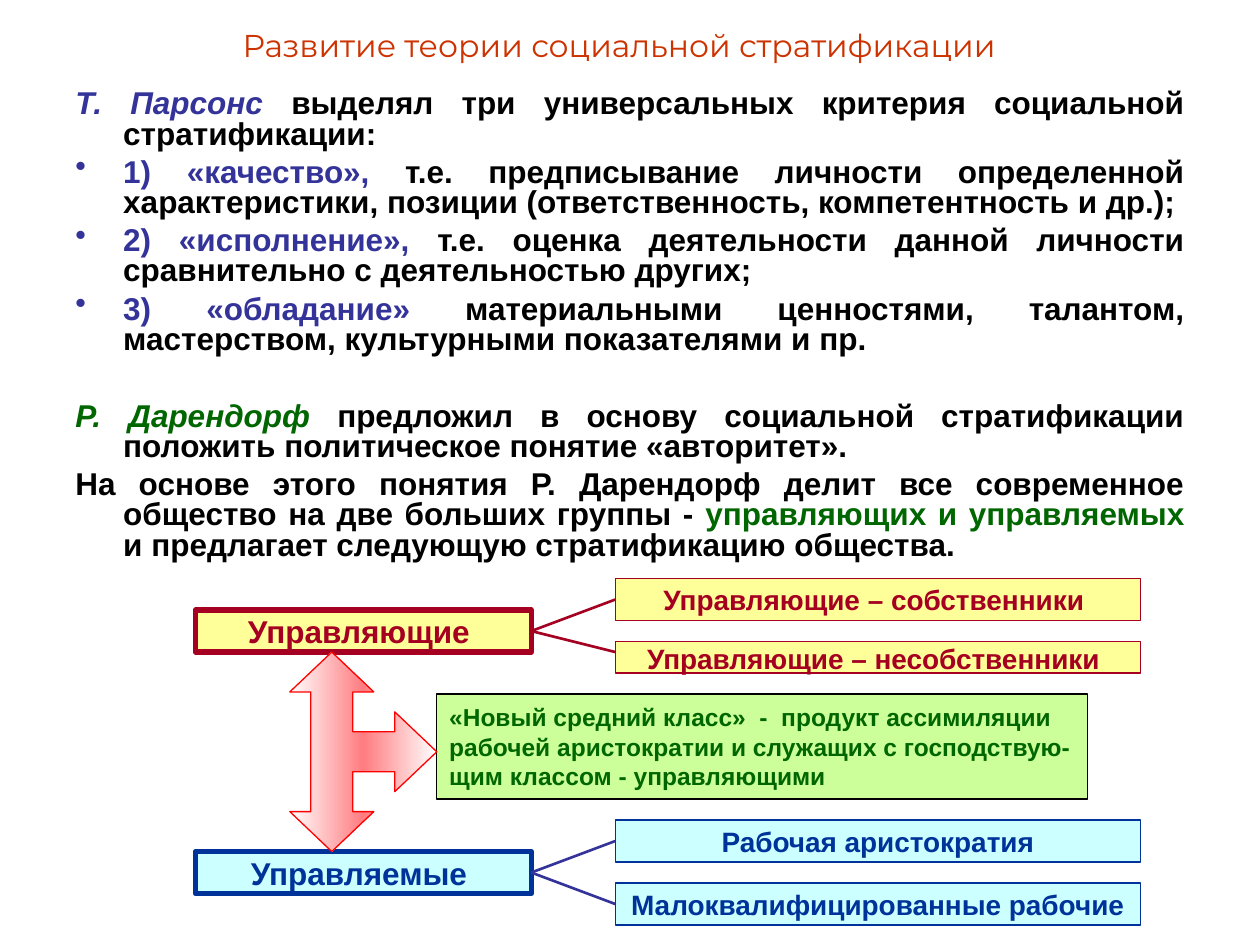
from copy import deepcopy
from dataclasses import dataclass

from lxml import etree
from pptx import Presentation
from pptx import util as u
from pptx.dml.color import RGBColor
from pptx.enum import shapes, text
from pptx.oxml.ns import qn

UNIT = u.Inches(1) // 12           # one column or row of the grid
DIAGRAM_COL, DIAGRAM_ROW = 18.6, 55.1


@dataclass(frozen=True)
class Theme:
    title: str = "CC3300"
    ink: str = "000000"
    violet: str = "333399"
    green: str = "006600"
    lime: str = "CCFF99"
    wine: str = "A50021"
    yellow: str = "FFFF99"
    navy: str = "003399"
    cyan: str = "CCFFFF"
    arrow_line: str = "FF0000"
    arrow_fill: tuple = ("FFFFFF", "FF7C80", "FFFFFF")
    heading_font: str = "Montserrat"
    font: str = "Arial"
    large: int = 18
    medium: int = 16
    small: int = 14


@dataclass(frozen=True)
class Span:
    words: str
    color: str
    size: int = 18
    bold: bool = True
    italic: bool = False
    font: str = "Arial"


@dataclass(frozen=True)
class Paragraph:
    spans: tuple
    bullet: bool = False
    before: float = 4.5


@dataclass(frozen=True)
class Box:
    col: float
    row: float
    cols: float
    rows: float
    fill: str
    line: str
    width: float
    lines: tuple
    align: text.PP_ALIGN = text.PP_ALIGN.CENTER


@dataclass(frozen=True)
class Branch:
    row: float
    end_rows: tuple
    color: str


T = Theme()


def rgb(value: str) -> RGBColor:
    return RGBColor.from_string(value)


def at(col: float, row: float) -> tuple:
    """Diagram grid position in slide units."""
    return round((DIAGRAM_COL + col) * UNIT), round((DIAGRAM_ROW + row) * UNIT)


def write(paragraph, spans: tuple, *, align=None, spacing=None, before=None,
          hanging=None, bullet=None) -> None:
    paragraph.alignment = align
    if spacing:
        paragraph.line_spacing = spacing
    if before:
        paragraph.space_before = u.Pt(before)
    props = paragraph._p.get_or_add_pPr()
    if hanging:
        props.set("marL", str(hanging))
        props.set("indent", str(-hanging))
    if bullet:
        color = etree.SubElement(props, qn("a:buClr"))
        etree.SubElement(color, qn("a:srgbClr"), val=bullet)
        etree.SubElement(props, qn("a:buChar"), char="•")
    for span in spans:
        run = paragraph.add_run()
        run.text = span.words
        font = run.font
        font.name, font.size = span.font, u.Pt(span.size)
        font.bold, font.italic = span.bold, span.italic
        font.color.rgb = rgb(span.color)


def paragraphs(frame, count: int) -> list:
    return [frame.paragraphs[0]] + [frame.add_paragraph() for _ in range(count - 1)]


def add_text_area(slide, left: float, top: float, width: float, height: float):
    frame = slide.shapes.add_textbox(*map(u.Inches, (left, top, width, height))).text_frame
    frame.word_wrap = True
    return frame


def add_box(slide, box: Box) -> None:
    shape = slide.shapes.add_shape(
        shapes.MSO_SHAPE.RECTANGLE, *at(box.col, box.row),
        round(box.cols * UNIT), round(box.rows * UNIT))
    shape.shadow.inherit = False
    shape.fill.solid()
    shape.fill.fore_color.rgb = rgb(box.fill)
    shape.line.color.rgb = rgb(box.line)
    shape.line.width = u.Pt(box.width)
    frame = shape.text_frame
    frame.word_wrap = False
    frame.vertical_anchor = text.MSO_ANCHOR.MIDDLE
    for paragraph, spans in zip(paragraphs(frame, len(box.lines)), box.lines):
        write(paragraph, spans, align=box.align)


def add_branch(slide, branch: Branch) -> None:
    for end_row in branch.end_rows:
        line = slide.shapes.add_connector(
            shapes.MSO_CONNECTOR.STRAIGHT, *at(32, branch.row), *at(40, end_row))
        line.line.color.rgb = rgb(branch.color)
        line.line.width = u.Pt(1.5)
        etree.SubElement(line._element.spPr, qn("a:effectLst"))


def add_three_way_arrow(slide) -> None:
    middle, step = 16.5, 1.9
    # Upper half as (column, steps above the middle); the lower half mirrors it
    upper = [(19, 2), (19, 1), (15, 1), (15, 3), (17, 3), (13, 5), (9, 3), (11, 3)]
    lower = [(col, -steps) for col, steps in reversed(upper)]
    points = [at(col, middle - steps * step) for col, steps in upper + lower]
    builder = slide.shapes.build_freeform(*at(23, middle))
    builder.add_line_segments(points, close=True)
    arrow = builder.convert_to_shape()
    arrow.shadow.inherit = False
    arrow.line.color.rgb = rgb(T.arrow_line)
    arrow.line.width = u.Pt(0.75)
    arrow.fill.gradient()
    arrow.fill.gradient_angle = 0
    stops = arrow._element.spPr.find(".//" + qn("a:gsLst"))
    stops.insert(1, deepcopy(stops[0]))
    for stop, color, place in zip(arrow.fill.gradient_stops, T.arrow_fill, (0, 0.5, 1)):
        stop.color.rgb = rgb(color)
        stop.position = place


def group_box(row: float, words: str, fill: str, ink: str) -> Box:
    return Box(0, row, 32, 4, fill, ink, 3, ((Span(words, ink),),))


def member_box(row: float, words: str, fill: str, ink: str, rows=4, tail=()) -> Box:
    spans = (Span(words, ink, T.medium), *tail)
    return Box(40, row, 50, rows, fill, ink, 0.75, (spans,))


THEORY = [
    Paragraph((Span("Т. Парсонс", T.violet, italic=True),
               Span(" выделял три универсальных критерия социальной стратификации: ", T.ink))),
    Paragraph((Span("1) «качество»,", T.violet),
               Span(" т.е. предписывание личности определенной характеристики, позиции "
                    "(ответственность, компетентность и др.); ", T.ink)), bullet=True),
    Paragraph((Span("2) «исполнение»,", T.violet),
               Span(" т.е. оценка деятельности данной личности сравнительно с "
                    "деятельностью других; ", T.ink)), bullet=True),
    Paragraph((Span("3) «обладание»", T.violet),
               Span(" материальными ценностями, талантом, мастерством, культурными "
                    "показателями и пр.", T.ink)), bullet=True),
    Paragraph((Span("Р. Дарендорф", T.green, italic=True),
               Span(" предложил в основу социальной стратификации положить политическое "
                    "понятие «авторитет». ", T.ink)), before=26.7),
    Paragraph((Span("На основе этого понятия Р. Дарендорф делит все современное общество "
                    "на две больших группы - ", T.ink),
               Span("управляющих и управляемых", T.green),
               Span(" и предлагает следующую стратификацию общества.", T.ink))),
]

MIDDLE_CLASS = ("«Новый средний класс»  -  продукт ассимиляции",
                "рабочей аристократии и служащих с господствую-",
                "щим классом - управляющими")

BOXES = [
    group_box(3, "Управляющие ", T.yellow, T.wine),
    member_box(6, "Управляющие – несобственники", T.yellow, T.wine, rows=3,
               tail=(Span(" ", T.wine, bold=False),)),
    member_box(0, "Управляющие – собственники ", T.yellow, T.wine),
    group_box(26, "Управляемые ", T.cyan, T.navy),
    member_box(29, "Малоквалифицированные рабочие", T.cyan, T.navy),
    member_box(23, "Рабочая аристократия", T.cyan, T.navy),
    Box(23, 11, 62, 10, T.lime, T.ink, 0.75,
        tuple((Span(line, T.green, T.small),) for line in MIDDLE_CLASS),
        text.PP_ALIGN.LEFT),
]

BRANCHES = [Branch(5, (2, 7), T.wine), Branch(28, (31, 25), T.violet)]


def main() -> None:
    deck = Presentation()
    deck.slide_width, deck.slide_height = u.Inches(10), u.Inches(7.5)
    slide = deck.slides.add_slide(deck.slide_layouts[6])

    # Title
    title = add_text_area(slide, 0.75, 0.17, 8.33, 0.37)
    title.vertical_anchor = text.MSO_ANCHOR.MIDDLE
    write(title.paragraphs[0],
          (Span("Развитие теории социальной стратификации", T.title, T.large,
                bold=False, font=T.heading_font),), align=text.PP_ALIGN.CENTER)

    # Theory
    theory = add_text_area(slide, 0.5, 0.67, 9, 6.17)
    for paragraph, item in zip(paragraphs(theory, len(THEORY)), THEORY):
        write(paragraph, item.spans, align=text.PP_ALIGN.JUSTIFY, spacing=0.8,
              before=item.before, hanging=u.Inches(0.38),
              bullet=T.violet if item.bullet else None)

    # Diagram
    for box in BOXES:
        add_box(slide, box)
    add_three_way_arrow(slide)
    for branch in BRANCHES:
        add_branch(slide, branch)

    deck.save("out.pptx")


if __name__ == "__main__":
    main()
